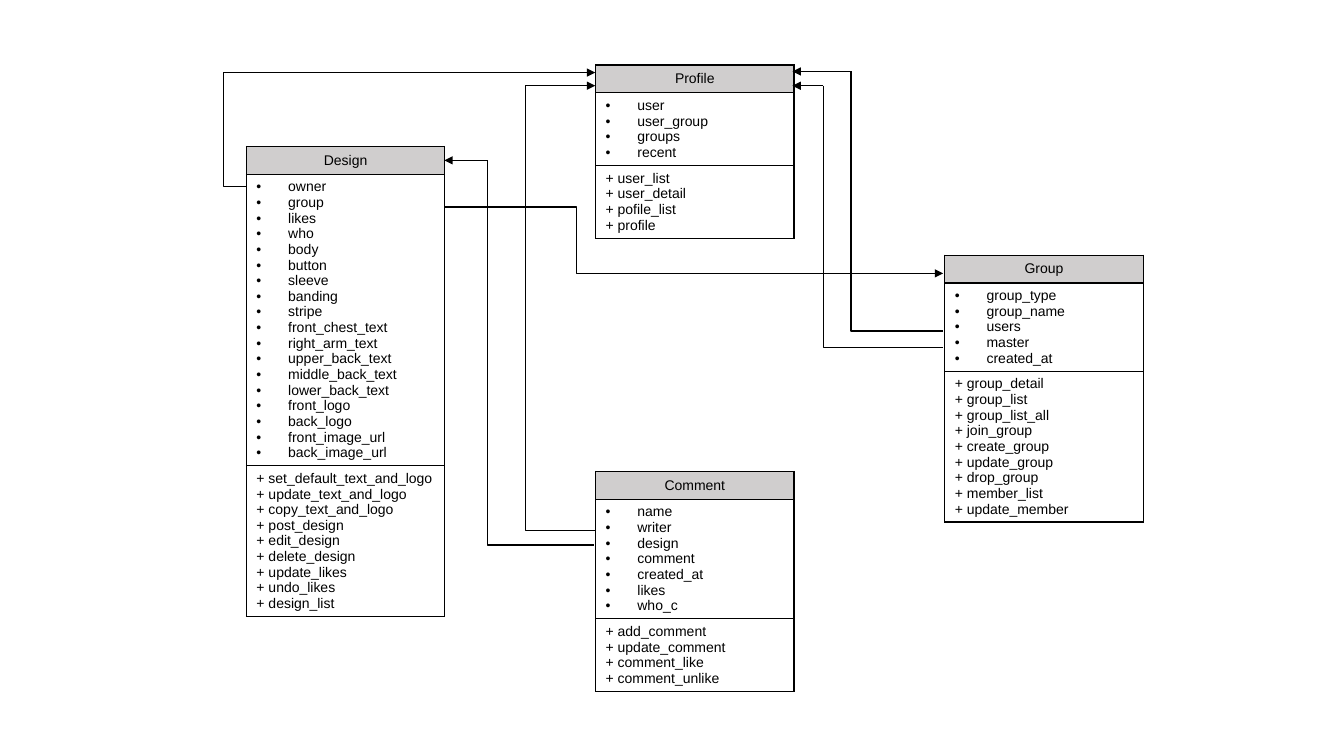
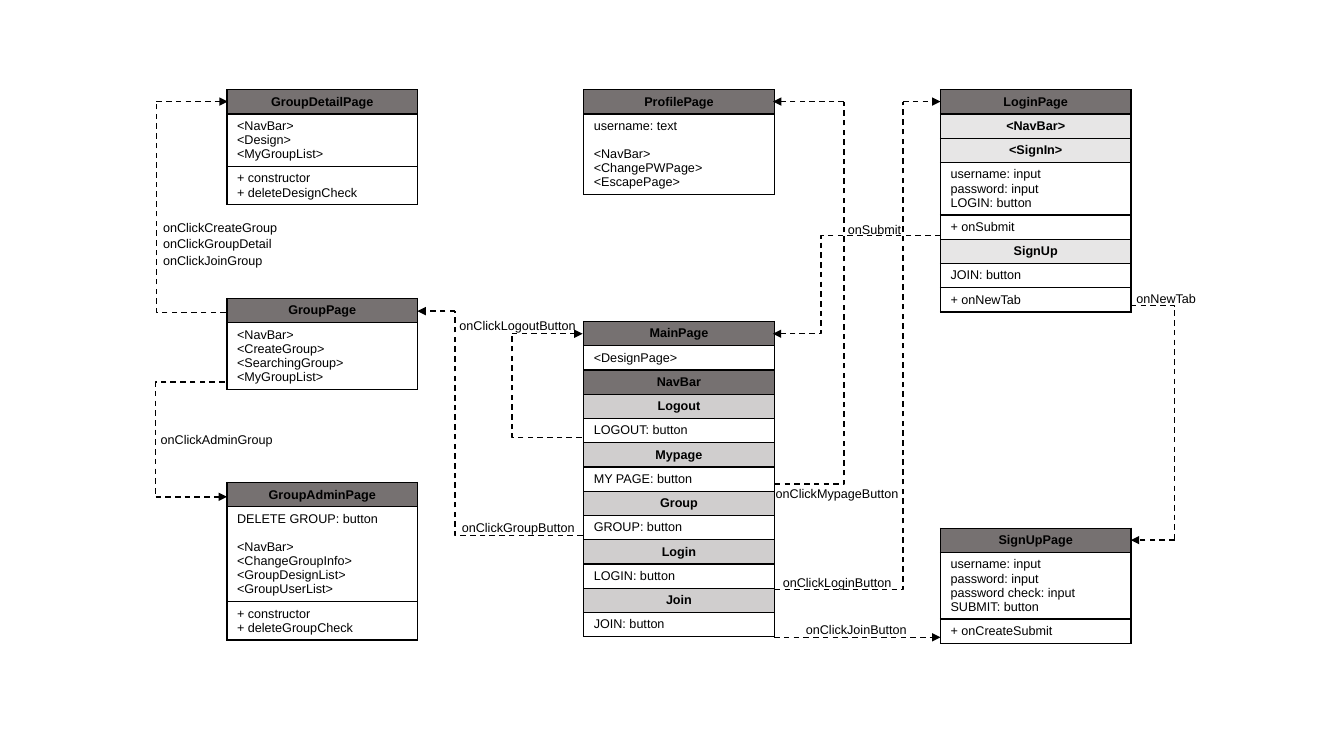
import dataclasses

import lxml.etree
import pptx
import pptx.dml.color
import pptx.enum.dml
import pptx.enum.shapes
import pptx.enum.text
import pptx.oxml.ns
import pptx.shapes.connector
import pptx.slide
import pptx.text.text
import pptx.util

Cm = pptx.util.Cm
Pt = pptx.util.Pt
qn = pptx.oxml.ns.qn
ALIGN = pptx.enum.text.PP_ALIGN
CONNECTOR = pptx.enum.shapes.MSO_CONNECTOR

FONT = "Arial"
COLORS = {
    "line": "000000",
    "text": "000000",
    "page": "767171",
    "section": "D0CECE",
    "part": "E7E6E6",
}
LINE_WIDTH = Pt(1)
LINE_RATIO = 1.117  # line height of the font, relative to its size
PT_CM = 2.54 / 72
CELL_PAD = 3.6  # points
BULLET_INDENT = Cm(0.8)


@dataclasses.dataclass(frozen=True)
class Row:
    """One table row; a fill makes it a centred heading."""
    text: str
    fill: str = ""
    bullet: bool = False


@dataclasses.dataclass(frozen=True)
class Box:
    """A class or page box, placed by column and top edge (cm)."""
    col: int
    top: float
    rows: list[Row]


@dataclasses.dataclass(frozen=True)
class Route:
    """An arrow that runs across, turns at x = bend, and runs across again."""
    x1: float
    y1: float
    bend: float
    x2: float
    y2: float


@dataclasses.dataclass(frozen=True)
class Label:
    """The text beside an arrow."""
    x: float
    y: float
    width: float
    text: str


@dataclasses.dataclass(frozen=True)
class Style:
    """What the boxes and arrows of one diagram have in common."""
    left: float
    pitch: float
    width: float
    size: float
    bold_heads: bool
    dashed: bool
    min_row: float = 0


def rgb(name: str) -> pptx.dml.color.RGBColor:
    """Look up a named colour."""
    return pptx.dml.color.RGBColor.from_string(COLORS[name])


def write(tf: pptx.text.text.TextFrame, text: str, *, size: float,
          bold: bool = False, align: ALIGN = ALIGN.LEFT,
          bullet: bool = False, after: float = 0) -> None:
    """Write one paragraph a line; an empty line becomes space before the next."""
    gap = 0.0
    used = False
    for line in text.split("\n"):
        if not line:
            gap = size * LINE_RATIO
            continue
        p = tf.add_paragraph() if used else tf.paragraphs[0]
        used = True
        p.alignment = align
        p.space_before, p.space_after = Pt(gap), Pt(after)
        gap = 0.0
        if bullet:
            pPr = p._p.get_or_add_pPr()
            pPr.set("marL", str(BULLET_INDENT))
            pPr.set("indent", str(-BULLET_INDENT))
            lxml.etree.SubElement(pPr, qn("a:buFont"), typeface=FONT)
            lxml.etree.SubElement(pPr, qn("a:buChar"), char="\u2022")
        r = p.add_run()
        r.text = line
        r.font.name, r.font.size, r.font.bold = FONT, Pt(size), bold
        r.font.color.rgb = rgb("text")


def add_borders(tcPr: lxml.etree._Element) -> None:
    """Give a cell a solid line on its four sides."""
    for side in ("a:lnL", "a:lnR", "a:lnT", "a:lnB"):
        ln = lxml.etree.SubElement(tcPr, qn(side), w=str(LINE_WIDTH))
        fill = lxml.etree.SubElement(ln, qn("a:solidFill"))
        lxml.etree.SubElement(fill, qn("a:srgbClr"), val=COLORS["line"])


def add_box(s: pptx.slide.Slide, box: Box, style: Style) -> None:
    """Draw a box as a table with one column, rows as high as their text."""
    line = style.size * LINE_RATIO
    heights = [max(((row.text.count("\n") + 1) * line + 2 * CELL_PAD) * PT_CM,
                   style.min_row) for row in box.rows]
    frame = s.shapes.add_table(
        len(box.rows), 1, Cm(style.left + box.col * style.pitch), Cm(box.top),
        Cm(style.width), Cm(sum(heights)))
    table = frame.table
    table.first_row = table.horz_banding = False
    for i, (row, height) in enumerate(zip(box.rows, heights)):
        table.rows[i].height = Cm(height)
        cell = table.cell(i, 0)
        cell.vertical_anchor = pptx.enum.text.MSO_ANCHOR.MIDDLE
        cell.margin_top = cell.margin_bottom = Pt(CELL_PAD)
        add_borders(cell._tc.get_or_add_tcPr())
        if row.fill:
            cell.fill.solid()
            cell.fill.fore_color.rgb = rgb(row.fill)
        else:
            cell.fill.background()
        write(cell.text_frame, row.text, size=style.size, bullet=row.bullet,
              bold=bool(row.fill) and style.bold_heads,
              align=ALIGN.CENTER if row.fill else ALIGN.LEFT)


def format_line(sp: pptx.shapes.connector.Connector, dashed: bool,
                head: bool) -> None:
    """Set the look of a connector, with an arrowhead at its end if asked."""
    sp.line.color.rgb = rgb("line")
    sp.line.width = LINE_WIDTH
    if dashed:
        sp.line.dash_style = pptx.enum.dml.MSO_LINE.DASH
    if head:
        lxml.etree.SubElement(sp.line._get_or_add_ln(), qn("a:tailEnd"),
                              type="triangle")
    lxml.etree.SubElement(sp._element.spPr, qn("a:effectLst"))


def set_bend(sp: pptx.shapes.connector.Connector, share: float) -> None:
    """Put the bend of an elbow connector at a share of its width."""
    avLst = sp._element.spPr.find(qn("a:prstGeom")).find(qn("a:avLst"))
    lxml.etree.SubElement(avLst, qn("a:gd"), name="adj1",
                          fmla=f"val {round(share * 100000)}")


def add_route(s: pptx.slide.Slide, route: Route, dashed: bool) -> None:
    """Draw a flat arrow as one connector, a tall one as a corner and a tip."""
    dx, dy = route.x2 - route.x1, route.y2 - route.y1
    if abs(dx) > abs(dy):
        sp = s.shapes.add_connector(
            CONNECTOR.ELBOW if dy else CONNECTOR.STRAIGHT,
            Cm(route.x1), Cm(route.y1), Cm(route.x2), Cm(route.y2))
        if dy:
            set_bend(sp, (route.bend - route.x1) / dx)
        format_line(sp, dashed, head=True)
        return
    group = s.shapes.add_group_shape()
    add_corner(group, route, dashed)
    tip = group.shapes.add_connector(
        CONNECTOR.STRAIGHT, Cm(route.bend), Cm(route.y2),
        Cm(route.x2), Cm(route.y2))
    format_line(tip, dashed, head=True)


def add_corner(group: pptx.shapes.group.GroupShape, route: Route,
               dashed: bool) -> None:
    """Draw the run across and the run up or down as a turned elbow."""
    across, down = route.bend - route.x1, route.y2 - route.y1
    mid_x, mid_y = route.x1 + across / 2, route.y1 + down / 2
    half_w = abs(down) / 2 * (-1 if across > 0 else 1)
    half_h = abs(across) / 2 * (-1 if down < 0 else 1)
    sp = group.shapes.add_connector(
        CONNECTOR.ELBOW, Cm(mid_x - half_w), Cm(mid_y - half_h),
        Cm(mid_x + half_w), Cm(mid_y + half_h))
    degrees = 90 if across * down < 0 else 270
    sp._element.spPr.find(qn("a:xfrm")).set("rot", str(degrees * 60000))
    set_bend(sp, 0)
    format_line(sp, dashed, head=False)


def add_label(s: pptx.slide.Slide, label: Label, size: float) -> None:
    """Place the text of an arrow."""
    lines = label.text.count("\n") + 1
    sp = s.shapes.add_textbox(Cm(label.x), Cm(label.y), Cm(label.width),
                              Cm(0.25 + 0.39 * lines))
    sp.text_frame.word_wrap = True
    write(sp.text_frame, label.text, size=size, after=0.75)


def add_diagram(prs: pptx.presentation.Presentation, style: Style,
                boxes: list[Box], routes: list[Route],
                labels: list[Label]) -> None:
    """Add a blank slide with boxes, arrows and labels."""
    s = prs.slides.add_slide(prs.slide_layouts[6])
    for box in boxes:
        add_box(s, box, style)
    for route in routes:
        add_route(s, route, style.dashed)
    for label in labels:
        add_label(s, label, style.size)


def model(col: int, top: float, name: str, fields: str, methods: str) -> Box:
    """Describe a class by its name, fields and methods."""
    return Box(col, top, [
        Row(name, "section"),
        Row("\n".join(fields.split()), bullet=True),
        Row("\n".join(f"+ {m}" for m in methods.split()))])


def page(col: int, top: float, name: str, *parts: str | Row) -> Box:
    """Describe a page by its name and the parts below it."""
    return Box(col, top, [Row(name, "page")] + [
        part if isinstance(part, Row) else Row(part) for part in parts])


MODEL_STYLE = Style(6.21, 8.8, 5, 10, bold_heads=False, dashed=False, min_row=0.7)
MODELS = [
    model(1, 1.64, "Profile", "user user_group groups recent",
          "user_list user_detail pofile_list profile"),
    model(2, 6.43, "Group", "group_type group_name users master created_at",
          "group_detail group_list group_list_all join_group create_group "
          "update_group drop_group member_list update_member"),
    model(0, 3.69, "Design",
          "owner group likes who body button sleeve banding stripe "
          "front_chest_text right_arm_text upper_back_text middle_back_text "
          "lower_back_text front_logo back_logo front_image_url back_image_url",
          "set_default_text_and_logo update_text_and_logo copy_text_and_logo "
          "post_design edit_design delete_design update_likes undo_likes "
          "design_list"),
    model(1, 11.88, "Comment",
          "name writer design comment created_at likes who_c",
          "add_comment update_comment comment_like comment_unlike"),
]
MODEL_ROUTES = [
    Route(6.2, 4.7, 5.64, 15, 1.83),
    Route(11.2, 5.22, 14.53, 23.77, 6.89),
    Route(14.96, 13.74, 12.29, 11.2, 4.04),
    Route(15, 13.37, 13.24, 15, 2.16),
    Route(23.77, 8.34, 21.45, 19.97, 1.8),
    Route(23.77, 8.76, 20.75, 19.97, 2.16),
]

PAGE_STYLE = Style(5.72, 8.99, 4.8, 9, bold_heads=True, dashed=True)
NAV_BUTTONS = [("Logout", "LOGOUT"), ("Mypage", "MY PAGE"), ("Group", "GROUP"),
               ("Login", "LOGIN"), ("Join", "JOIN")]
NAV_ROWS = [row for name, caption in NAV_BUTTONS
            for row in (Row(name, "section"), Row(f"{caption}: button"))]
PAGES = [
    page(1, 2.26, "ProfilePage",
         "username: text\n\n<NavBar>\n<ChangePWPage>\n<EscapePage>"),
    page(0, 7.52, "GroupPage",
         "<NavBar>\n<CreateGroup>\n<SearchingGroup>\n<MyGroupList>"),
    page(2, 2.26, "LoginPage", Row("<NavBar>", "part"), Row("<SignIn>", "part"),
         "username: input\npassword: input\nLOGIN: button", "+ onSubmit",
         Row("SignUp", "part"), "JOIN: button", "+ onNewTab"),
    page(2, 13.31, "SignUpPage",
         "username: input\npassword: input\npassword check: input\n"
         "SUBMIT: button", "+ onCreateSubmit"),
    page(0, 12.16, "GroupAdminPage",
         "DELETE GROUP: button\n\n<NavBar>\n<ChangeGroupInfo>\n"
         "<GroupDesignList>\n<GroupUserList>",
         "+ constructor\n+ deleteGroupCheck"),
    page(0, 2.26, "GroupDetailPage", "<NavBar>\n<Design>\n<MyGroupList>",
         "+ constructor\n+ deleteDesignCheck"),
    page(1, 8.1, "MainPage", "<DesignPage>", Row("NavBar", "page"), *NAV_ROWS),
]
PAGE_ROUTES = [
    Route(19.51, 16.06, 23.7, 23.7, 16.06),
    Route(19.53, 14.86, 22.76, 23.7, 2.56),
    Route(14.68, 13.5, 11.47, 10.52, 7.84),
    Route(19.53, 12.2, 21.27, 19.48, 2.56),
    Route(23.7, 5.94, 20.69, 19.48, 8.41),
    Route(28.5, 7.7, 29.6, 28.5, 13.61),
    Route(5.69, 7.87, 3.94, 5.74, 2.56),
    Route(5.66, 9.63, 3.92, 5.72, 12.52),
    Route(14.66, 11.02, 12.9, 14.68, 8.41),
]
PAGE_LABELS = [
    Label(20.06, 15.54, 3.3, "onClickJoinButton"),
    Label(19.48, 14.37, 3.4, "onClickLoginButton"),
    Label(11.39, 12.98, 3.5, "onClickGroupButton"),
    Label(19.3, 12.12, 3.75, "onClickMypageButton"),
    Label(28.39, 7.2, 3.07, "onNewTab"),
    Label(21.12, 5.46, 3.07, "onSubmit"),
    Label(3.86, 5.42, 3.55,
          "onClickCreateGroup\nonClickGroupDetail\nonClickJoinGroup"),
    Label(3.8, 10.76, 3.5, "onClickAdminGroup"),
    Label(11.33, 7.88, 3.6, "onClickLogoutButton"),
]

prs = pptx.Presentation()
prs.slide_width, prs.slide_height = Cm(33.87), Cm(19.05)
add_diagram(prs, MODEL_STYLE, MODELS, MODEL_ROUTES, [])
add_diagram(prs, PAGE_STYLE, PAGES, PAGE_ROUTES, PAGE_LABELS)
prs.save("out.pptx")
